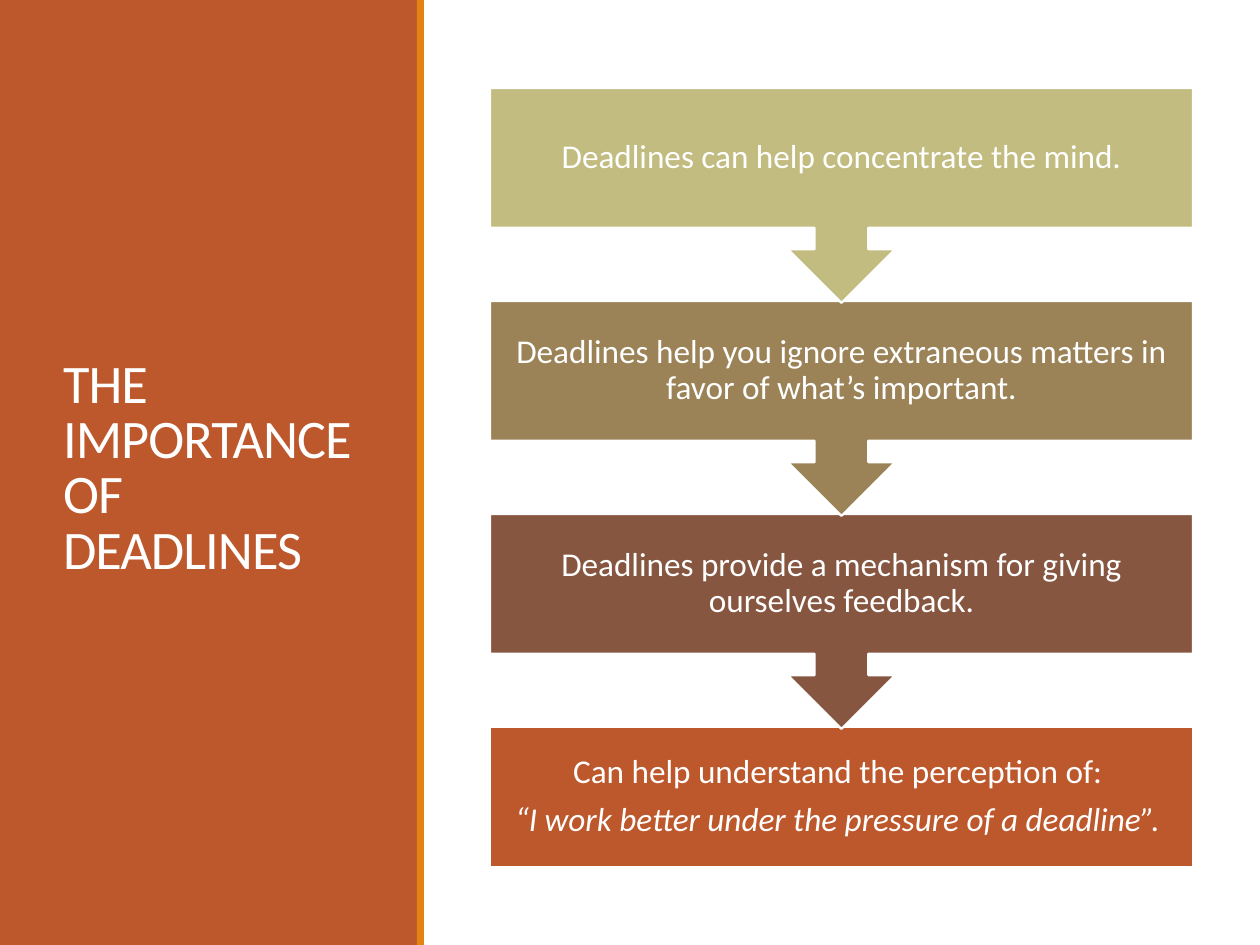
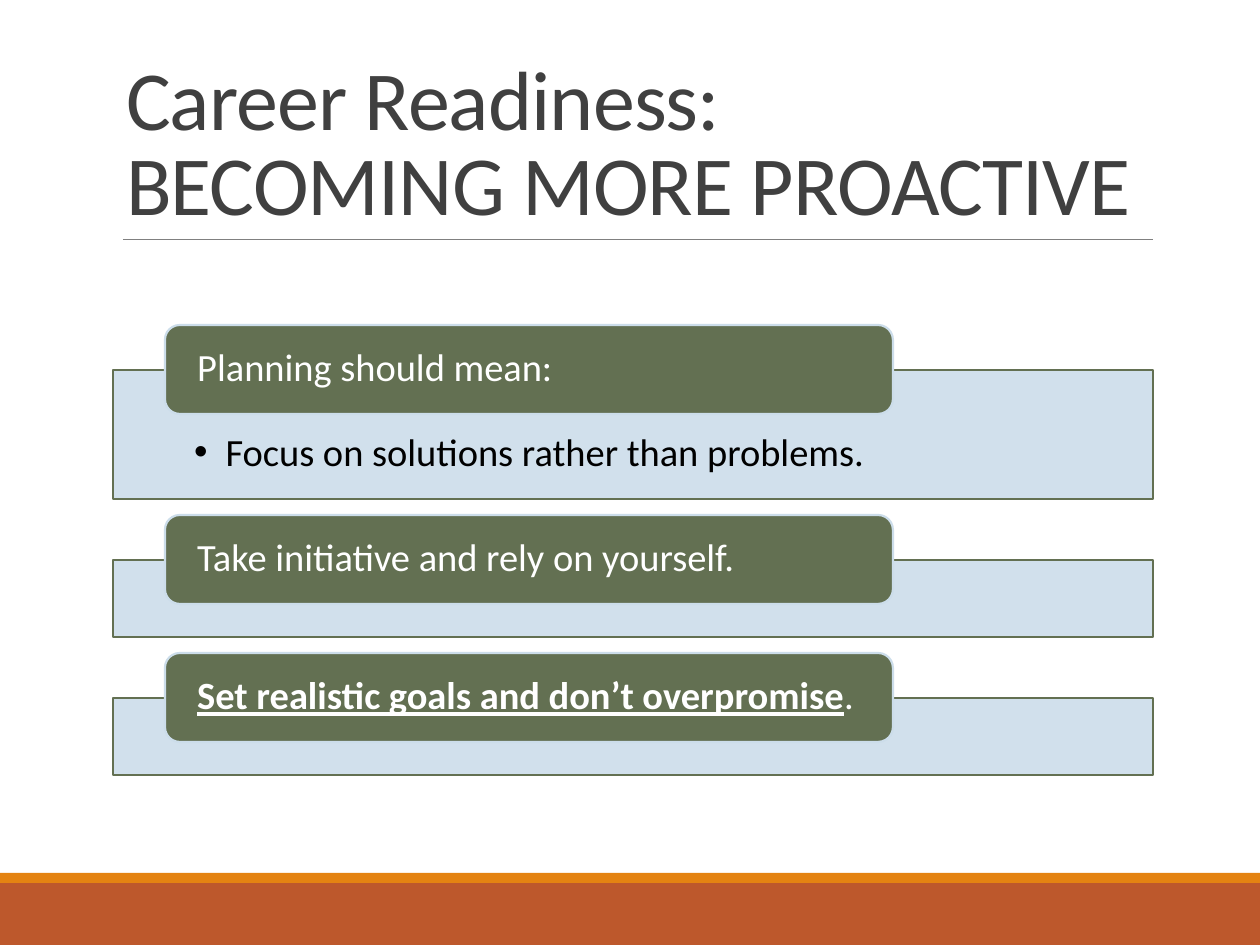
import lxml.etree
import pptx
import pptx.dml.color
import pptx.enum.shapes
import pptx.enum.text
import pptx.oxml.ns
import pptx.util

EMU_PER_PX = 914400 / 126
PAGE_W, PAGE_H = 1260, 945
FONT = "Calibri"
COLORS = {
    "white": "FFFFFF", "black": "000000", "rust": "BD582C", "orange": "E48312",
    "brown": "865640", "tan": "9B8357", "khaki": "C2BC80", "olive": "637052",
    "sky": "CCDDEA", "charcoal": "404040", "gray": "808080",
}
SHAPES = pptx.enum.shapes.MSO_SHAPE
ANCHOR = pptx.enum.text.MSO_ANCHOR
ALIGN = pptx.enum.text.PP_ALIGN


def px(length):
    return pptx.util.Emu(round(length * EMU_PER_PX))


def rgb(name):
    return pptx.dml.color.RGBColor.from_string(COLORS[name])


def add_xml(parent, tag, **attributes):
    return lxml.etree.SubElement(parent, pptx.oxml.ns.qn(tag), attributes)


def add_block(page, kind, area, fill, line=None):
    shape = page.shapes.add_shape(kind, *map(px, area))
    shape.shadow.inherit = False
    shape.fill.solid()
    shape.fill.fore_color.rgb = rgb(fill)
    if line:
        shape.line.color.rgb = rgb(line)
        shape.line.width = pptx.util.Pt(1.25)
    else:
        shape.line.fill.background()
    return shape


def set_frame(shape, anchor, insets):
    """Wrap the text; insets are left, top, right, bottom."""
    frame = shape.text_frame
    frame.word_wrap = True
    frame.vertical_anchor = anchor
    (frame.margin_left, frame.margin_top,
     frame.margin_right, frame.margin_bottom) = map(px, insets)
    return frame


def format_text(frame, size, color, align=ALIGN.LEFT, spacing=0.9, after=0.35):
    """Format every paragraph; after is a share of the font size."""
    for para in frame.paragraphs:
        para.alignment = align
        para.line_spacing = spacing
        para.space_after = pptx.util.Pt(round(after * size))
        for span in para.runs:
            span.font.name = FONT
            span.font.size = pptx.util.Pt(size)
            span.font.color.rgb = rgb(color)


def add_title(page, text, area, size, color, anchor):
    box = page.shapes.add_textbox(*map(px, area))
    frame = set_frame(box, anchor, (13, 6, 13, 6))
    frame.text = text
    format_text(frame, size, color, spacing=0.85, after=0)
    for span in frame.paragraphs[0].runs:
        span.font._element.set("spc", "-50")


def add_band(page, band, stripe):
    add_block(page, SHAPES.RECTANGLE, band, "rust")
    add_block(page, SHAPES.RECTANGLE, stripe, "orange")


def add_step(page, kind, top, height, fill, text):
    step = add_block(page, kind, (490, top, 703, height), fill, "white")
    frame = set_frame(step, ANCHOR.MIDDLE, (19, 19, 19, 19))
    frame.text = text
    format_text(frame, 19, "white", ALIGN.CENTER)
    return step


def add_panel(page, top, height, detail):
    panel = add_block(page, SHAPES.RECTANGLE, (113, top, 1040, height), "sky", "olive")
    fill_color = panel.fill._xPr.find(".//" + pptx.oxml.ns.qn("a:srgbClr"))
    add_xml(fill_color, "a:alpha", val="90000")
    if detail:
        frame = set_frame(panel, ANCHOR.TOP, (81, 63, 81, 21))
        frame.text = detail
        properties = frame.paragraphs[0]._p.get_or_add_pPr()
        indent = pptx.util.Inches(0.25)
        properties.set("marL", str(indent))
        properties.set("indent", str(-indent))
        bullet_color = add_xml(properties, "a:buClr")
        add_xml(bullet_color, "a:srgbClr", val=COLORS["black"])
        add_xml(properties, "a:buFont", typeface="Arial")
        add_xml(properties, "a:buChar", char="•")
        format_text(frame, 22, "black", after=0.15)


def add_tab(page, top, heading):
    tab = add_block(page, SHAPES.ROUNDED_RECTANGLE, (165, top, 728, 89), "olive", "sky")
    frame = set_frame(tab, ANCHOR.MIDDLE, (28, 0, 28, 0))
    frame.text = heading
    format_text(frame, 22, "white")
    return frame.paragraphs[0]


def add_rule(page, left, right, top):
    rule = page.shapes.add_connector(
        pptx.enum.shapes.MSO_CONNECTOR.STRAIGHT, px(left), px(top), px(right), px(top))
    rule.line.color.rgb = rgb("gray")
    rule.line.width = pptx.util.Pt(0.5)
    add_xml(rule._element.spPr, "a:effectLst")


def build_deadlines(page):
    add_band(page, (0, 0, 418, PAGE_H), (417, 0, 7, PAGE_H))
    add_title(page, "THE IMPORTANCE OF DEADLINES", (50, 72, 319, 795), 31,
              "white", ANCHOR.MIDDLE)

    first_top, pitch, box_height, callout_height = 88, 213, 140, 215
    reasons = [
        ("khaki", "Deadlines can help concentrate the mind."),
        ("tan", "Deadlines help you ignore extraneous matters in favor of what’s important."),
        ("brown", "Deadlines provide a mechanism for giving ourselves feedback."),
    ]
    conclusion = add_step(
        page, SHAPES.RECTANGLE, first_top + len(reasons) * pitch, box_height, "rust",
        "Can help understand the perception of: \n"
        "“I work better under the pressure of a deadline”. ")
    conclusion.text_frame.paragraphs[1].runs[0].font.italic = True
    # Upward, so that each arrow tip lies over the next box
    for index, (fill, text) in reversed(list(enumerate(reasons))):
        callout = add_step(page, SHAPES.DOWN_ARROW_CALLOUT, first_top + index * pitch,
                           callout_height, fill, text)
        for number, value in enumerate((0.25, 0.25, 0.25, 0.65)):
            callout.adjustments[number] = value


def build_proactive(page):
    add_band(page, (0, 882, PAGE_W, 63), (0, 873, PAGE_W, 10))
    add_rule(page, 123, 1153, 239)
    add_title(page, "Career Readiness:\vBECOMING MORE PROACTIVE", (113, 39, 1040, 200), 48,
              "charcoal", ANCHOR.BOTTOM)

    top, gap, tab_rise = 370, 61, 45
    for height, heading, detail in (
        (129, "Planning should mean:", "Focus on solutions rather than problems."),
        (77, "Take initiative and rely on yourself.", None),
        (77, "Set realistic goals and don’t overpromise", None),
    ):
        add_panel(page, top, height, detail)
        para = add_tab(page, top - tab_rise, heading)
        top += height + gap

    goal = para.runs[0]
    goal.font.bold = goal.font.underline = True
    para.add_run().text = "."
    stop = para.runs[1].font
    stop.name, stop.size = FONT, goal.font.size
    stop.color.rgb = rgb("white")


def main():
    deck = pptx.Presentation()
    deck.slide_width, deck.slide_height = px(PAGE_W), px(PAGE_H)
    for build in (build_deadlines, build_proactive):
        build(deck.slides.add_slide(deck.slide_layouts[6]))
    deck.save("out.pptx")


if __name__ == "__main__":
    main()
